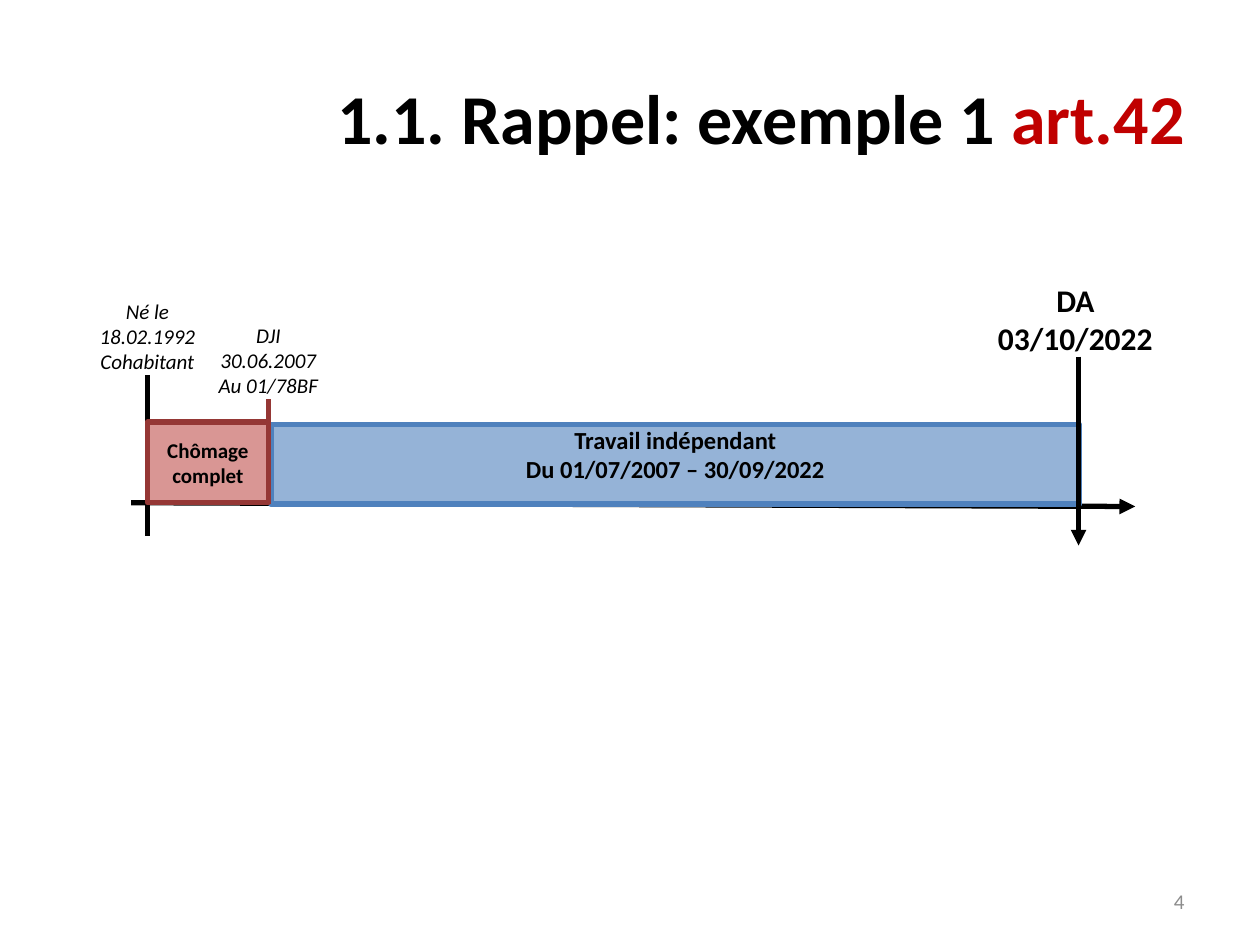
from lxml import etree
from pptx import Presentation
from pptx.dml.color import RGBColor
from pptx.enum import shapes, text
from pptx.oxml.ns import qn
from pptx.util import Inches, Pt

COLORS = {
    "black": "000000", "red": "C00000", "grey": "8C8C8C",
    "work": "95B3D7", "work_edge": "4F81BD",
    "jobless": "D99694", "jobless_edge": "953735",
}
CENTER, RIGHT = text.PP_ALIGN.CENTER, text.PP_ALIGN.RIGHT
TOP, MIDDLE = text.MSO_ANCHOR.TOP, text.MSO_ANCHOR.MIDDLE


def color(name):
    return RGBColor.from_string(COLORS[name])


def write(box, lines, size, align=CENTER, anchor=TOP, bold=False, italic=False, ink="black"):
    frame = box.text_frame
    frame.word_wrap = True
    frame.vertical_anchor = anchor
    frame.text = "\n".join(lines)
    for para in frame.paragraphs:
        para.alignment = align
        para.font.name = "Calibri"
        para.font.size = Pt(size)
        para.font.bold = bold
        para.font.italic = italic
        para.font.color.rgb = color(ink)


deck = Presentation()
deck.slide_width, deck.slide_height = Inches(10), Inches(7.5)
page = deck.slides.add_slide(deck.slide_layouts[6])

title = page.shapes.add_textbox(Inches(0.5), Inches(0.3), Inches(9), Inches(1.25))
write(title, ["1.1. Rappel: exemple 1 "], 40, RIGHT, MIDDLE, bold=True)
span = title.text_frame.paragraphs[0].add_run()
span.text = "art.42"
span.font.color.rgb = color("red")

number = page.shapes.add_textbox(Inches(7.17), Inches(6.95), Inches(2.33), Inches(0.4))
write(number, ["4"], 12, RIGHT, MIDDLE, ink="grey")

birth_x, claim_x, request_x = 1.17, 2.13, 8.56
time_axis = (1.04, 3.99, 9.01, 4.02, "black", True)
birth_mark = (birth_x, 2.98, birth_x, 4.25, "black", False)
request_mark = (request_x, 2.83, request_x, 4.33, "black", True)
claim_mark = (claim_x, 3.17, claim_x, 4, "jobless_edge", False)
work_period = (2.15, 3.37, 6.42, 0.63, "work", 14,
               ["Travail indépendant", "Du 01/07/2007 – 30/09/2022"])
jobless_period = (birth_x, 3.35, claim_x - birth_x, 0.64, "jobless", 12, ["Chômage complet"])

layers = [time_axis, birth_mark, work_period, request_mark, jobless_period, claim_mark]
for layer in layers:
    if layer in (work_period, jobless_period):
        left, top, width, height, fill, size, lines = layer
        bar = page.shapes.add_shape(shapes.MSO_SHAPE.RECTANGLE, Inches(left), Inches(top),
                                    Inches(width), Inches(height))
        bar.shadow.inherit = False
        bar.fill.solid()
        bar.fill.fore_color.rgb = color(fill)
        bar.line.color.rgb = color(fill + "_edge")
        bar.line.width = Pt(3)
        write(bar, lines, size, anchor=MIDDLE, bold=True)
        if layer is work_period:
            bar.text_frame.margin_top = 0
            bar.text_frame.margin_bottom = Inches(0.16)
        continue
    x1, y1, x2, y2, ink, arrow = layer
    mark = page.shapes.add_connector(shapes.MSO_CONNECTOR.STRAIGHT, Inches(x1), Inches(y1),
                                     Inches(x2), Inches(y2))
    mark.line.color.rgb = color(ink)
    mark.line.width = Pt(3)
    if arrow:
        etree.SubElement(mark.line._get_or_add_ln(), qn("a:tailEnd"), type="triangle")
    etree.SubElement(mark._element.spPr, qn("a:effectLst"))

labels = [
    (0.65, 2.32, 1.04, ["Né le 18.02.1992", "Cohabitant"], 12, False),
    (7.8, 2.18, 1.47, ["DA 03/10/2022"], 18, True),
    (1.61, 2.51, 1.04, ["DJI 30.06.2007", "Au 01/78BF"], 12, False),
]
for left, top, width, lines, size, bold in labels:
    label = page.shapes.add_textbox(Inches(left), Inches(top), Inches(width), Inches(0.71))
    write(label, lines, size, bold=bold, italic=not bold)

deck.save("out.pptx")
